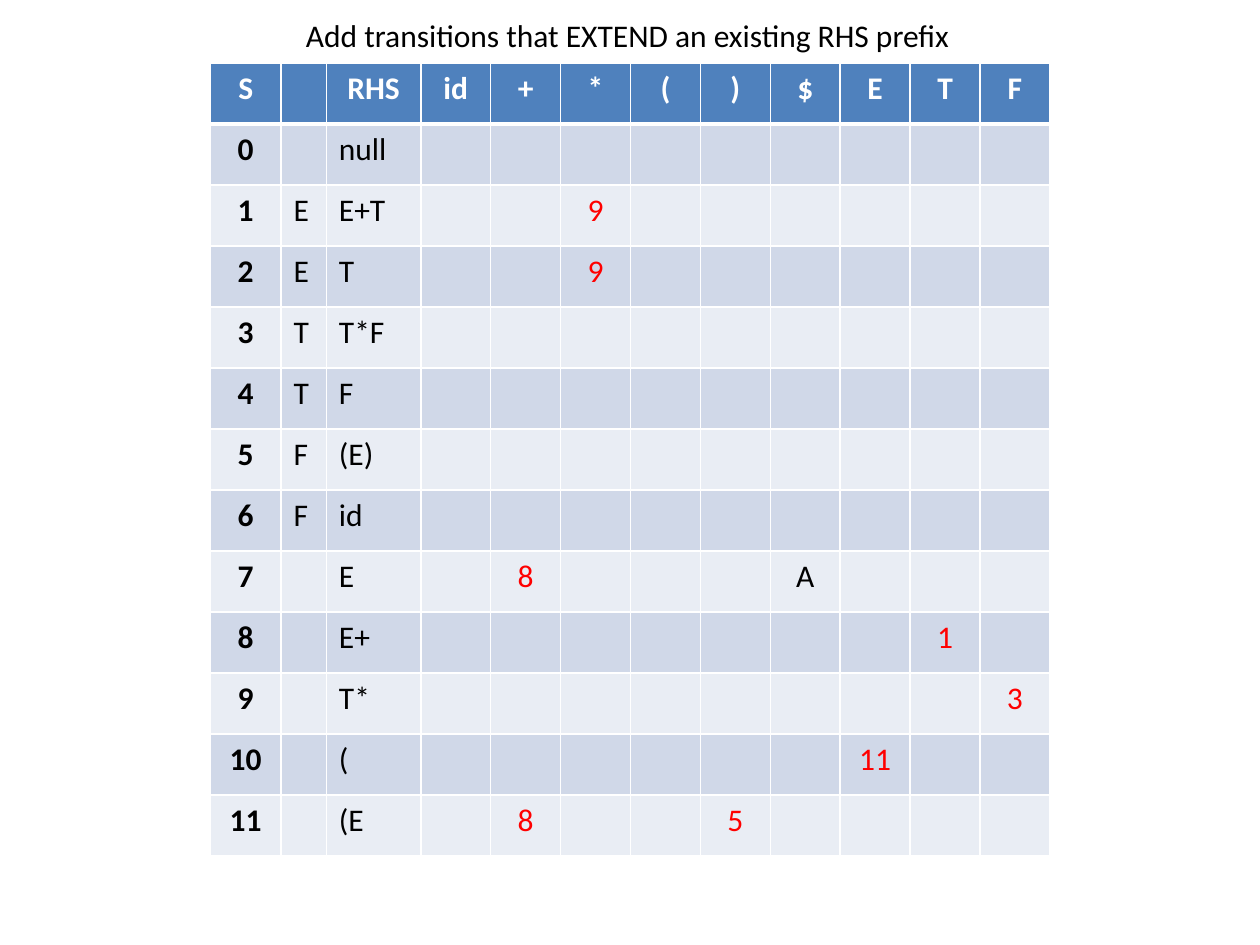
from lxml.etree import SubElement
from pptx import Presentation
from pptx.dml.color import RGBColor
from pptx.enum.text import MSO_AUTO_SIZE, PP_ALIGN
from pptx.oxml.ns import qn
from pptx.util import Inches, Pt

TITLE = "Add transitions that EXTEND an existing RHS prefix"
HEADER = ["S", "", "RHS", "id", "+", "*", "(", ")", "$", "E", "T", "F"]
STATES = [
    ("", "null", {}),
    ("E", "E+T", {"*": "9"}),
    ("E", "T", {"*": "9"}),
    ("T", "T*F", {}),
    ("T", "F", {}),
    ("F", "(E)", {}),
    ("F", "id", {}),
    ("", "E", {"+": "8", "$": "A"}),
    ("", "E+", {"T": "1"}),
    ("", "T*", {"F": "3"}),
    ("", "(", {"E": "11"}),
    ("", "(E", {"+": "8", ")": "5"}),
]
WIDTHS = [0.56, 0.36, 0.75] + [0.555] * 9
TABLE_H = 6.3
BLACK, WHITE, RED, BLUE = "000000", "FFFFFF", "FF0000", "4F81BD"
BANDS = ["D0D8E8", "E9EDF4"]


def rgb(value):
    return RGBColor.from_string(value)


def write(tf, text, color=BLACK, bold=False, align=PP_ALIGN.LEFT):
    p = tf.paragraphs[0]
    p.alignment = align
    r = p.add_run()
    r.text = text
    r.font.name = "Calibri"
    r.font.size = Pt(18)
    r.font.bold = bold
    r.font.color.rgb = rgb(color)


def set_borders(cell, **widths):
    tcPr = cell._tc.get_or_add_tcPr()
    for side, width in widths.items():
        ln = SubElement(tcPr, qn(f"a:ln{side}"), w=str(Pt(width)))
        fill = SubElement(ln, qn("a:solidFill"))
        SubElement(fill, qn("a:srgbClr"), val=WHITE)


def text_format(row, col, text):
    if row == 0:
        return {"color": WHITE, "bold": True, "align": PP_ALIGN.CENTER}
    if col == 0:
        return {"bold": True, "align": PP_ALIGN.CENTER}
    if col < 3:
        return {}
    return {"color": RED if text.isdigit() else BLACK, "align": PP_ALIGN.CENTER}


prs = Presentation()
prs.slide_width, prs.slide_height = Inches(10), Inches(7.5)
s = prs.slides.add_slide(prs.slide_layouts[6])

rows = [HEADER] + [
    [str(n), left, rhs] + [moves.get(symbol, "") for symbol in HEADER[3:]]
    for n, (left, rhs, moves) in enumerate(STATES)
]
table = s.shapes.add_table(
    len(rows), len(HEADER), Inches(1.67), Inches(0.5), Inches(sum(WIDTHS)), Inches(TABLE_H)
).table
table.horz_banding = False
for column, width in zip(table.columns, WIDTHS):
    column.width = Inches(width)
for i, texts in enumerate(rows):
    table.rows[i].height = Inches(TABLE_H / len(rows))
    for j, text in enumerate(texts):
        cell = table.cell(i, j)
        set_borders(cell, L=1, R=1, T=3 if i == 1 else 1, B=3 if i == 0 else 1)
        cell.fill.solid()
        cell.fill.fore_color.rgb = rgb(BANDS[(i - 1) % 2] if i else BLUE)
        if text:
            write(cell.text_frame, text, **text_format(i, j, text))

title = s.shapes.add_textbox(Inches(2.33), Inches(0.08), Inches(5.37), Inches(0.4))
tf = title.text_frame
tf.word_wrap = False
tf.auto_size = MSO_AUTO_SIZE.SHAPE_TO_FIT_TEXT
write(tf, TITLE)

prs.save("out.pptx")
